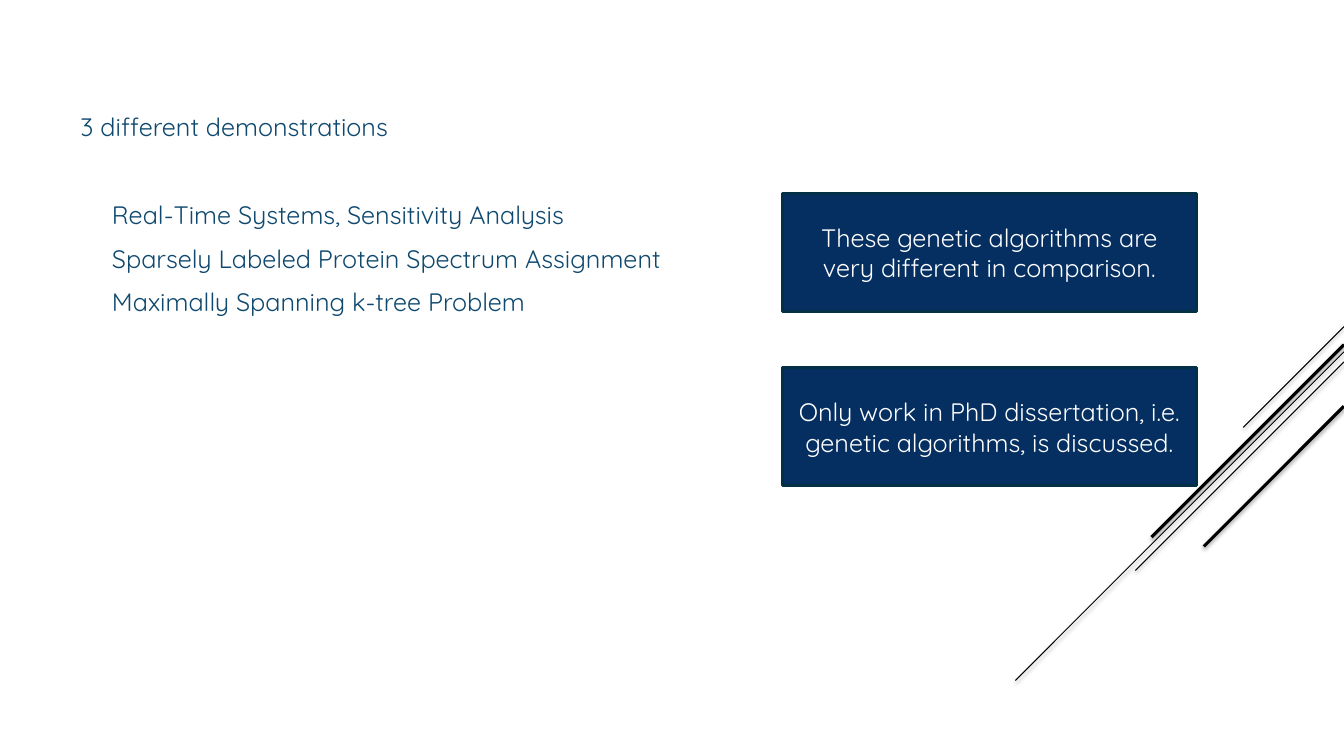
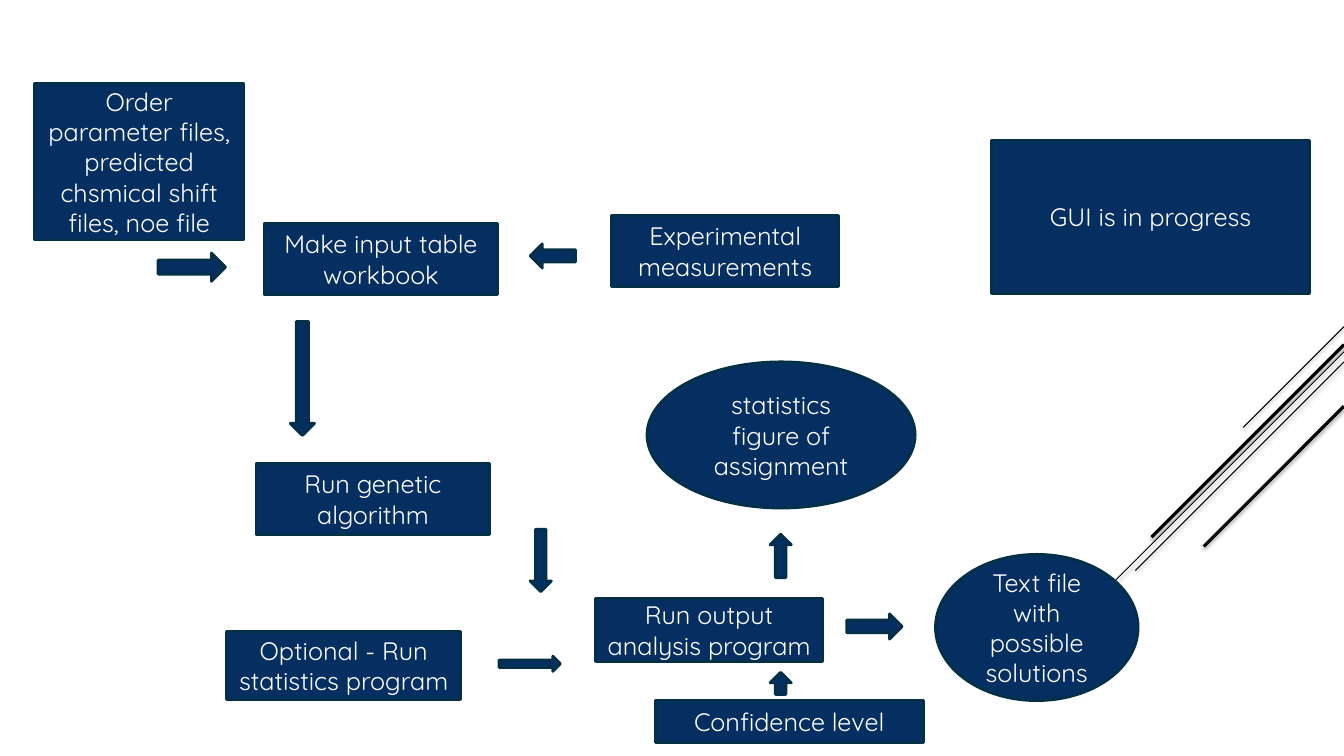
from lxml import etree
from pptx import Presentation
from pptx.dml.color import RGBColor
from pptx.enum.shapes import MSO_CONNECTOR, MSO_SHAPE as S
from pptx.enum.text import MSO_ANCHOR, PP_ALIGN
from pptx.oxml.ns import qn
from pptx.util import Pt

WIDTH, HEIGHT = 960, 540
FONT, SIZE = "Quicksand", 18
NAVY, EDGE, WHITE, BLUE, BLACK = "052F61", "033047", "FFFFFF", "0F496F", "000000"

# Diagonal stripes start at the right edge and fall at 45 degrees:
# top, horizontal run, line width
STRIPES = [
    (233.3, 72, 0.75),
    (251.3, 234.7, 0.75),
    (258.5, 149, 0.75),
    (246.2, 137.5, 2.25),
    (290.2, 100.1, 2.25),
]

HEADING = "3 different demonstrations"
TOPICS = [
    "Real-Time Systems, Sensitivity Analysis",
    "Sparsely Labeled Protein Spectrum Assignment",
    "Maximally Spanning k-tree Problem",
]
OUTLINE_BOX = (50.4, 29.5, 660, 247)
TOPIC_INDENT, TOPIC_GAP, HEADING_GAP = 22.5, 9.6, 40.9

# Shape, (left, top, width, height), text
REMARKS = [
    (S.RECTANGLE, (558.7, 138.2, 295.9, 84.2),
     "These genetic algorithms are very different in comparison."),
    (S.RECTANGLE, (558.7, 262.8, 295.9, 84.2),
     "Only work in PhD dissertation, i.e. genetic algorithms, is discussed."),
]

WORKFLOW = [
    (S.RECTANGLE, (24.5, 59.8, 149.8, 111.6),
     "Order parameter files, predicted chsmical shift files, noe file"),
    (S.RECTANGLE, (188.6, 159.8, 167, 50.4), "Make input table workbook"),
    (S.RECTANGLE, (437, 154.1, 162, 50.4), "Experimental measurements"),
    (S.RECTANGLE, (182.9, 331.2, 167, 50.4), "Run genetic algorithm"),
    (S.RECTANGLE, (162, 451.4, 167, 48.2), "Optional - Run statistics program"),
    (S.RECTANGLE, (425.5, 427.7, 162, 44.6), "Run output analysis program"),
    (S.RECTANGLE, (468, 500.4, 191.5, 30.2), "Confidence level"),
    (S.OVAL, (462.2, 258.5, 191.5, 104.4), "statistics figure of assignment"),
    (S.OVAL, (668.2, 396, 144.7, 104.4), "Text file with possible solutions"),
    (S.RECTANGLE, (708.5, 100.1, 226.8, 109.4), "GUI is in progress"),
    (S.RIGHT_ARROW, (113, 180.7, 48.2, 20.2), ""),
    (S.LEFT_ARROW, (378.7, 174.2, 32.4, 17.3), ""),
    (S.DOWN_ARROW, (207.4, 229.7, 17.3, 81.4), ""),
    (S.DOWN_ARROW, (378.7, 378, 15.1, 44.6), ""),
    (S.RIGHT_ARROW, (356.4, 468.7, 43.9, 10.8), ""),
    (S.UP_ARROW, (550.1, 480.2, 15.1, 15.8), ""),
    (S.UP_ARROW, (550.1, 381.6, 15.1, 31), ""),
    (S.RIGHT_ARROW, (604.8, 438.5, 39.6, 18), ""),
]


def rgb(value):
    return RGBColor.from_string(value)


def points(box):
    return [Pt(v) for v in box]


def add_run(p, content, color):
    r = p.add_run()
    r.text = content
    r.font.name, r.font.size = FONT, Pt(SIZE)
    r.font.color.rgb = rgb(color)


def add_soft_shadow(line):
    effects = etree.SubElement(line._element.spPr, qn("a:effectLst"))
    shadow = etree.SubElement(effects, qn("a:outerShdw"), blurRad=str(Pt(3.1)),
                              dist=str(Pt(1.6)), dir="5400000", rotWithShape="0")
    color = etree.SubElement(shadow, qn("a:srgbClr"), val=BLACK)
    etree.SubElement(color, qn("a:alpha"), val="38000")


def add_striped_slide(prs):
    s = prs.slides.add_slide(prs.slide_layouts[6])
    for top, run, width in STRIPES:
        line = s.shapes.add_connector(
            MSO_CONNECTOR.STRAIGHT, *points((WIDTH, top, WIDTH - run, top + run)))
        line.line.color.rgb = rgb(BLACK)
        line.line.width = Pt(width)
        add_soft_shadow(line)
    return s


def add_nodes(s, nodes):
    for kind, box, content in nodes:
        sp = s.shapes.add_shape(kind, *points(box))
        sp.shadow.inherit = False
        sp.fill.solid()
        sp.fill.fore_color.rgb = rgb(NAVY)
        sp.line.color.rgb = rgb(EDGE)
        sp.line.width = Pt(2)
        if content:
            tf = sp.text_frame
            tf.word_wrap = True
            tf.vertical_anchor = MSO_ANCHOR.MIDDLE
            p = tf.paragraphs[0]
            p.alignment = PP_ALIGN.CENTER
            add_run(p, content, WHITE)


def add_outline(s):
    tf = s.shapes.add_textbox(*points(OUTLINE_BOX)).text_frame
    tf.word_wrap = True
    tf.vertical_anchor = MSO_ANCHOR.MIDDLE
    add_run(tf.paragraphs[0], HEADING, BLUE)
    for i, topic in enumerate(TOPICS):
        p = tf.add_paragraph()
        p.space_before = Pt(TOPIC_GAP if i else HEADING_GAP)
        p._p.get_or_add_pPr().set("marL", str(Pt(TOPIC_INDENT)))
        add_run(p, topic, BLUE)


def main():
    prs = Presentation()
    prs.slide_width, prs.slide_height = points((WIDTH, HEIGHT))
    s = add_striped_slide(prs)
    add_outline(s)
    add_nodes(s, REMARKS)
    add_nodes(add_striped_slide(prs), WORKFLOW)
    prs.save("out.pptx")


if __name__ == "__main__":
    main()
